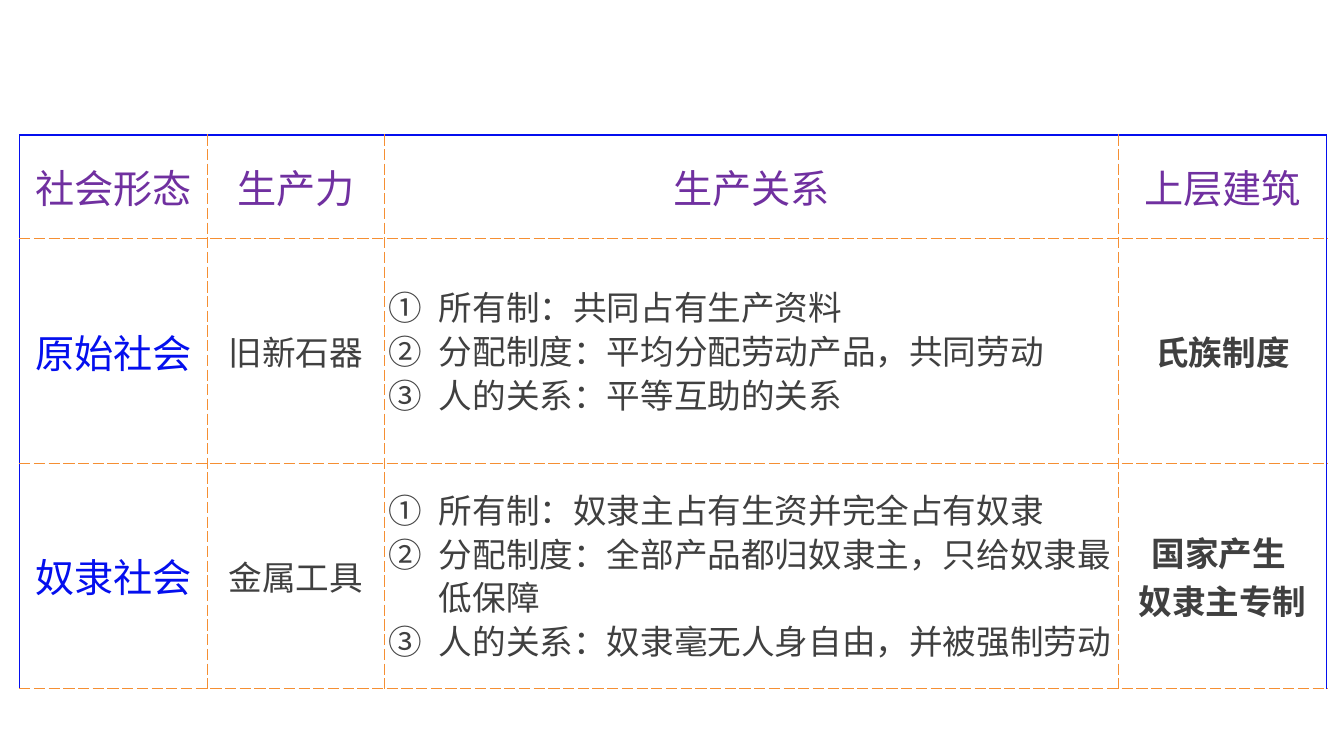
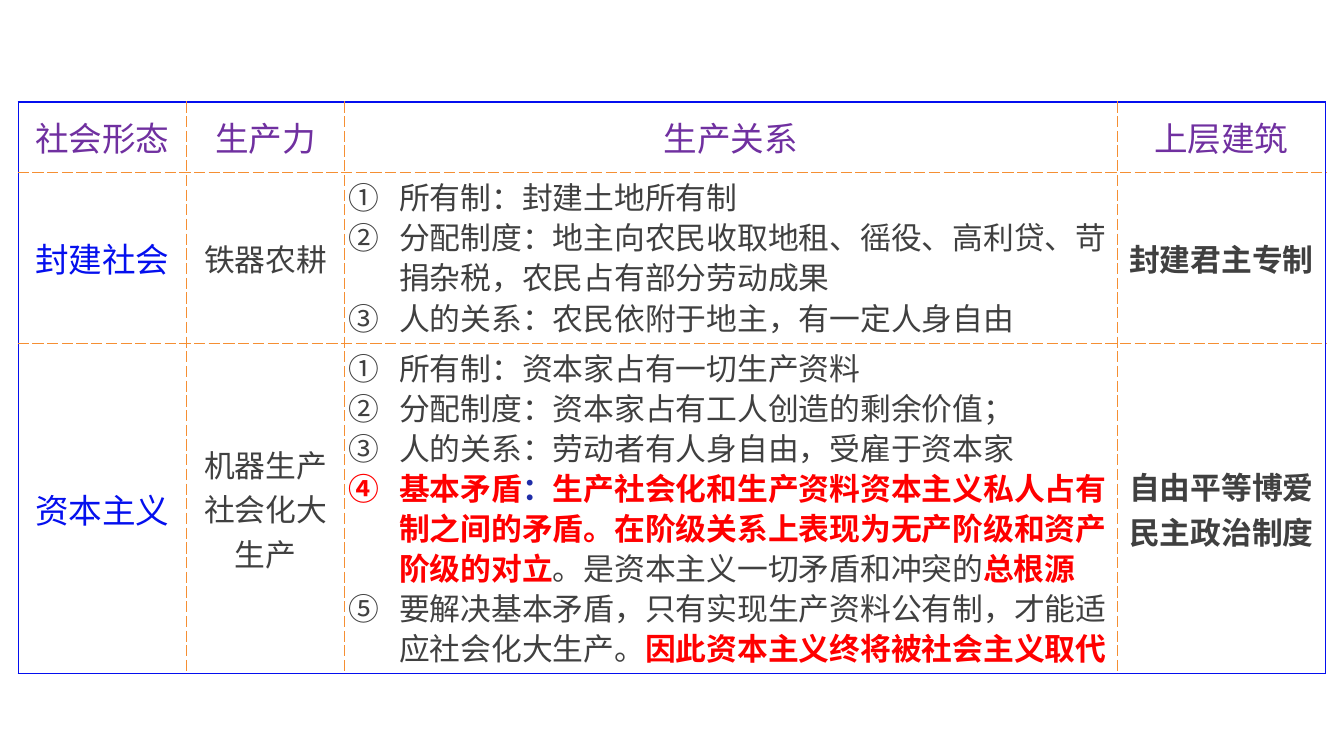
import lxml.etree
import pptx
import pptx.dml.color
import pptx.enum.text
import pptx.oxml.ns
import pptx.util

Cm = pptx.util.Cm
RGBColor = pptx.dml.color.RGBColor
qn = pptx.oxml.ns.qn

WHITE = RGBColor(0xFF, 0xFF, 0xFF)
PURPLE = RGBColor(0x70, 0x30, 0xA0)
BLUE = RGBColor(0x04, 0x0F, 0xEE)
NAVY = RGBColor(0x1F, 0x2D, 0xA8)
ORANGE = RGBColor(0xF5, 0x8F, 0x33)
GREY = RGBColor(0x40, 0x40, 0x40)
RED = RGBColor(0xFF, 0x00, 0x00)

CJK = "Noto Sans CJK SC"
LATIN = "Arial"

HEADER = (CJK, PURPLE, False)
SOCIETY = (LATIN, BLUE, False)
BODY = (CJK, GREY, False)
STRONG = (CJK, GREY, True)
COLON = (CJK, NAVY, True)
KEY = (LATIN, RED, True)
COLUMN_STYLES = (SOCIETY, BODY, BODY, STRONG)
LIST_COLUMN = 2

FRAME = (BLUE, 1, "solid")
GRID = (ORANGE, 0.75, "sysDash")

HEADINGS = ("社会形态", "生产力", "生产关系", "上层建筑")

EARLY_SOCIETIES = (
    ("原始社会", "旧新石器",
     ("所有制：共同占有生产资料",
      "分配制度：平均分配劳动产品，共同劳动",
      "人的关系：平等互助的关系"),
     "氏族制度"),
    ("奴隶社会", "金属工具",
     ("所有制：奴隶主占有生资并完全占有奴隶",
      "分配制度：全部产品都归奴隶主，只给奴隶最低保障",
      "人的关系：奴隶毫无人身自由，并被强制劳动"),
     ("国家产生 ", "奴隶主专制")),
)

LATER_SOCIETIES = (
    ("封建社会", "铁器农耕",
     ("所有制：封建土地所有制",
      "分配制度：地主向农民收取地租、徭役、高利贷、苛捐杂税，农民占有部分劳动成果",
      "人的关系：农民依附于地主，有一定人身自由"),
     "封建君主专制"),
    ("资本主义", ("机器生产", "社会化大生产"),
     ("所有制：资本家占有一切生产资料",
      "分配制度：资本家占有工人创造的剩余价值；",
      "人的关系：劳动者有人身自由，受雇于资本家",
      (("基本矛盾", KEY), ("：", COLON),
       ("生产社会化和生产资料资本主义私人占有制之间的矛盾。"
        "在阶级关系上表现为无产阶级和资产阶级的对立", KEY),
       ("。是资本主义一切矛盾和冲突的", BODY), ("总根源", KEY)),
      (("要解决基本矛盾，只有实现生产资料公有制，才能适应社会化大生产。", BODY),
       ("因此资本主义终将被社会主义取代", KEY))),
     ("自由平等博爱", "民主政治制度")),
)


def set_borders(cell, **borders):
    """Draw the left, right, top and bottom borders of a cell."""
    tcPr = cell._tc.get_or_add_tcPr()
    for i, side in enumerate("LRTB"):
        color, width, dash = borders[side]
        ln = lxml.etree.Element(qn(f"a:ln{side}"), w=str(pptx.util.Pt(width)))
        fill = lxml.etree.SubElement(ln, qn("a:solidFill"))
        lxml.etree.SubElement(fill, qn("a:srgbClr"), val=str(color))
        lxml.etree.SubElement(ln, qn("a:prstDash"), val=dash)
        tcPr.insert(i, ln)


def add_run(p, text, size, style):
    """Append a run in the given font, colour and weight."""
    r = p.add_run()
    r.text = text
    r.font.size = pptx.util.Pt(size)
    r.font.name, r.font.color.rgb, r.font.bold = style
    lxml.etree.SubElement(r.font._element, qn("a:ea"), typeface=CJK)


def number_paragraph(p):
    """Give a paragraph a circled number and a hanging indent."""
    p.line_spacing = 0.9
    pPr = p._p.get_or_add_pPr()
    pPr.set("marL", str(Cm(1.27)))
    pPr.set("indent", str(-Cm(1.27)))
    lxml.etree.SubElement(pPr, qn("a:buFont"), typeface=CJK)
    lxml.etree.SubElement(pPr, qn("a:buAutoNum"), type="circleNumDbPlain")


def fill_cell(cell, content, size, style, numbered):
    """Write the paragraphs of a cell on white, centred or numbered."""
    cell.fill.solid()
    cell.fill.fore_color.rgb = WHITE
    cell.vertical_anchor = pptx.enum.text.MSO_ANCHOR.MIDDLE
    if numbered:
        cell.margin_left = cell.margin_right = Cm(0.1)
    tf = cell.text_frame
    paragraphs = (content,) if isinstance(content, str) else content
    for i, runs in enumerate(paragraphs):
        p = tf.add_paragraph() if i else tf.paragraphs[0]
        if numbered:
            number_paragraph(p)
        else:
            p.alignment = pptx.enum.text.PP_ALIGN.CENTER
        if isinstance(runs, str):
            runs = ((runs, style),)
        for text, run_style in runs:
            add_run(p, text, size, run_style)


def add_society_slide(prs, societies, left, top, widths, heights,
                      title_size, body_size, bottom):
    """Add a slide with a table comparing forms of society."""
    s = prs.slides.add_slide(prs.slide_layouts[6])
    rows = (HEADINGS,) + societies
    table = s.shapes.add_table(
        len(rows), len(HEADINGS), Cm(left), Cm(top),
        Cm(sum(widths)), Cm(sum(heights))).table
    table.first_row = table.horz_banding = False
    for column, width in zip(table.columns, widths):
        column.width = Cm(width)
    for row, height in zip(table.rows, heights):
        row.height = Cm(height)
    last_row, last_column = len(rows) - 1, len(HEADINGS) - 1
    for i, row in enumerate(rows):
        for j, content in enumerate(row):
            cell = table.cell(i, j)
            size = title_size if i == 0 or j == 0 else body_size
            style = COLUMN_STYLES[j] if i else HEADER
            fill_cell(cell, content, size, style, i > 0 and j == LIST_COLUMN)
            set_borders(cell,
                        L=GRID if j else FRAME,
                        R=FRAME if j == last_column else GRID,
                        T=GRID if i else FRAME,
                        B=bottom if i == last_row else GRID)


prs = pptx.Presentation()
prs.slide_width, prs.slide_height = Cm(33.87), Cm(19.05)
add_society_slide(prs, EARLY_SOCIETIES, 0.5, 3.4,
                  (4.72, 4.47, 18.49, 5.26), (2.62, 5.66, 5.66),
                  title_size=28, body_size=24, bottom=GRID)
add_society_slide(prs, LATER_SOCIETIES, 0.46, 2.57,
                  (4.24, 3.99, 19.46, 5.26), (1.78, 3.78, 8),
                  title_size=24, body_size=22, bottom=FRAME)
prs.save("out.pptx")
